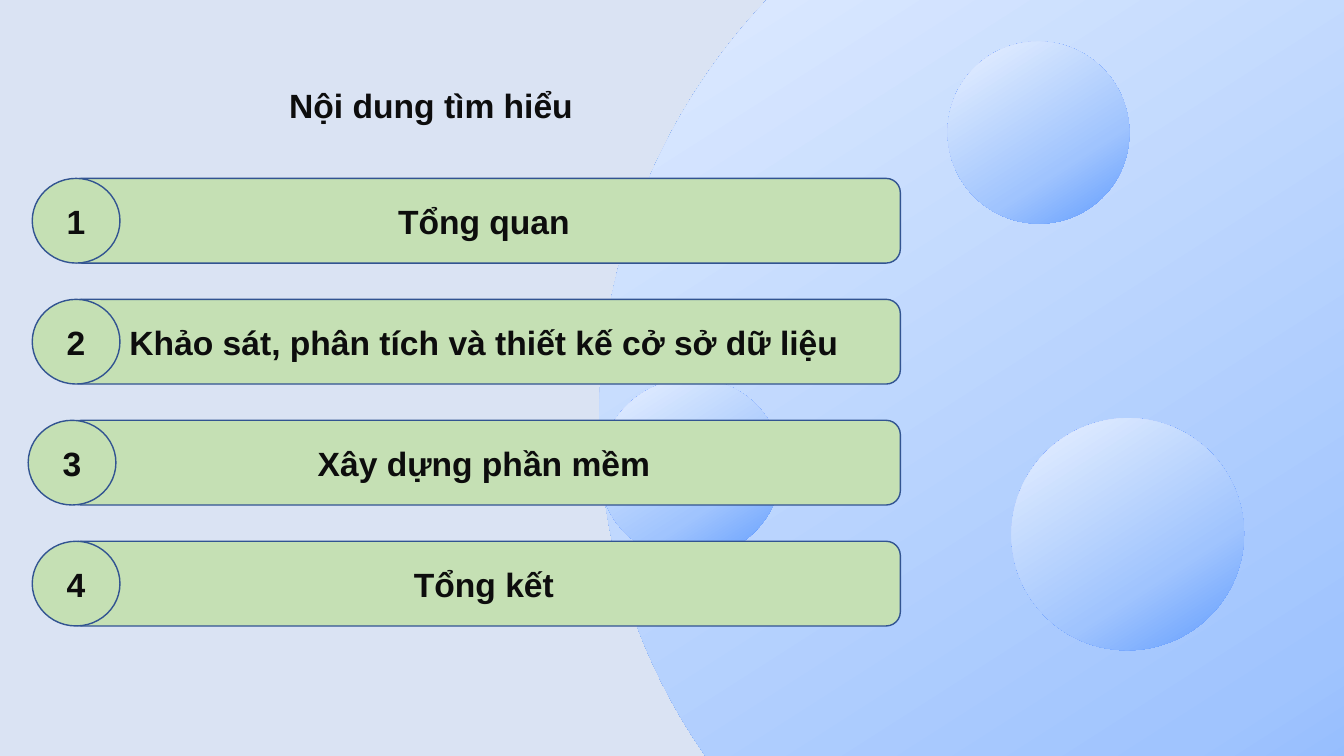
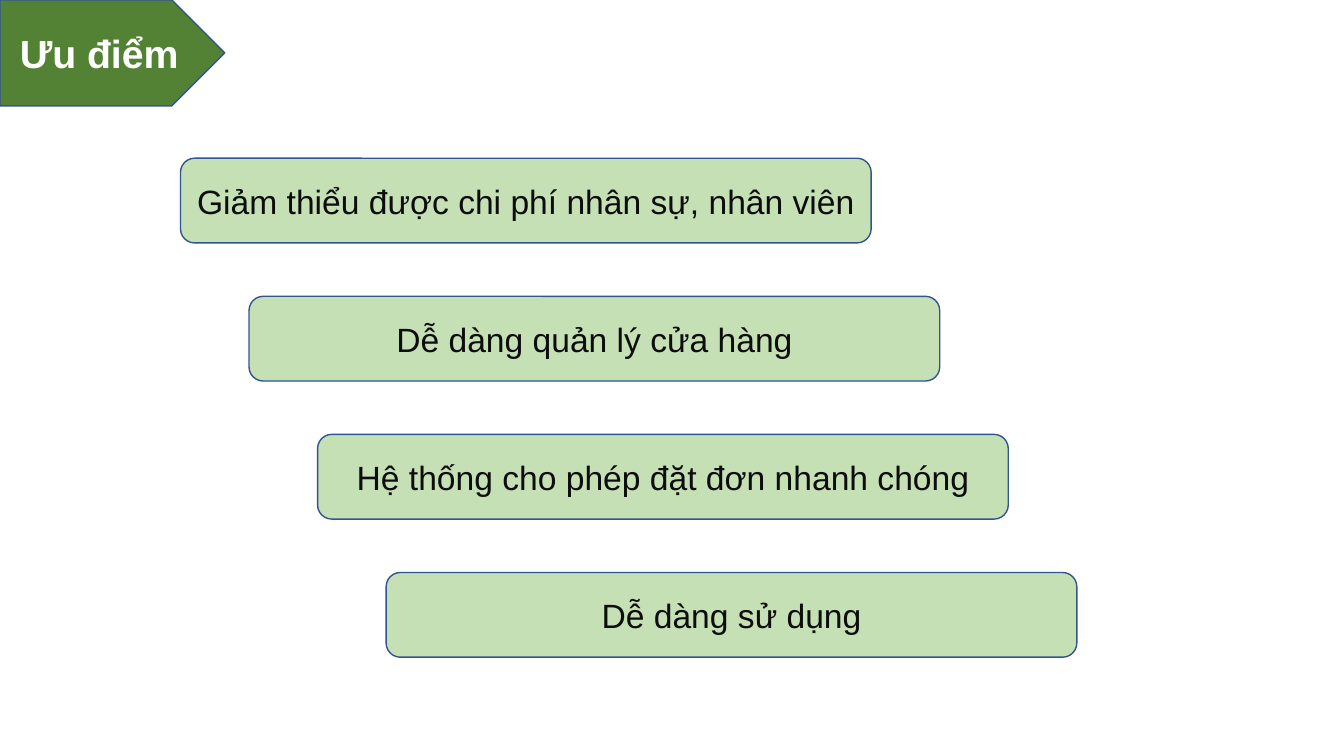
from copy import deepcopy

from pptx import Presentation
from pptx.dml.color import RGBColor
from pptx.enum.shapes import MSO_SHAPE
from pptx.enum.text import MSO_ANCHOR, PP_ALIGN
from pptx.oxml.ns import qn
from pptx.util import Inches, Pt

COLORS = {
    "pale_blue": "DAE3F3",
    "white": "FFFFFF",
    "ink": "0D0D0D",
    "light_green": "C5E0B4",
    "dark_green": "548235",
    "outline": "325491",
}
FONT = "Arial"
BUBBLE_STOPS = [(0.04, "438AFE"), (0.38, "A0C4FE"), (1, "FFFFFF")]
BUBBLE_ROTATION = 147.4
BAR_HEIGHT = 0.84

AGENDA_TITLE = "Nội dung tìm hiểu"
BUBBLES = [
    (5.91, -1.89, 12.09, 11.86),
    (9.4, 0.41, 1.8, 1.81),
    (5.94, 3.76, 1.82, 1.78),
    (10.03, 4.15, 2.31, 2.3),
]
AGENDA = [
    ("Tổng quan", 0.32),
    ("Khảo sát, phân tích và thiết kế cở sở dữ liệu", 0.32),
    ("Xây dựng phần mềm", 0.28),
    ("Tổng kết", 0.32),
]
ADVANTAGES_TITLE = "Ưu điểm"
ADVANTAGES = [
    "Giảm thiểu được chi phí nhân sự, nhân viên",
    "Dễ dàng quản lý cửa hàng",
    "Hệ thống cho phép đặt đơn nhanh chóng",
    "Dễ dàng sử dụng",
]


def rgb(value):
    return RGBColor.from_string(value)


def add_page(deck, background):
    page = deck.slides.add_slide(deck.slide_layouts[6])
    page.background.fill.solid()
    page.background.fill.fore_color.rgb = rgb(COLORS[background])
    return page


def write_text(shape, text, size=24, bold=True, color="ink", align=PP_ALIGN.CENTER,
               anchor=MSO_ANCHOR.MIDDLE):
    frame = shape.text_frame
    frame.word_wrap = True
    frame.vertical_anchor = anchor
    para = frame.paragraphs[0]
    para.alignment = align
    span = para.add_run()
    span.text = text
    span.font.name = FONT
    span.font.size = Pt(size)
    span.font.bold = bold
    span.font.color.rgb = rgb(COLORS[color])


def add_panel(page, kind, place, text, fill="light_green", **text_format):
    panel = page.shapes.add_shape(kind, *map(Inches, place))
    panel.shadow.inherit = False
    panel.fill.solid()
    panel.fill.fore_color.rgb = rgb(COLORS[fill])
    panel.line.color.rgb = rgb(COLORS["outline"])
    panel.line.width = Pt(1)
    write_text(panel, text, **text_format)


def add_bubble(page, place):
    bubble = page.shapes.add_shape(MSO_SHAPE.OVAL, *map(Inches, place))
    bubble.shadow.inherit = False
    bubble.rotation = BUBBLE_ROTATION
    bubble.line.fill.background()
    bubble.fill.gradient()
    bubble.fill.gradient_angle = 270
    stop_list = next(bubble.element.iter(qn("a:gsLst")))
    stop_list.append(deepcopy(stop_list[-1]))
    for stop, (position, color) in zip(bubble.fill.gradient_stops, BUBBLE_STOPS):
        stop.position = position
        stop.color.rgb = rgb(color)


def build_agenda(deck):
    page = add_page(deck, "pale_blue")
    for place in BUBBLES:
        add_bubble(page, place)
    title = page.shapes.add_textbox(Inches(2.77), Inches(0.79), Inches(3.17), Inches(0.5))
    write_text(title, AGENDA_TITLE, align=PP_ALIGN.LEFT, anchor=MSO_ANCHOR.TOP)
    for index, (topic, badge_left) in enumerate(AGENDA):
        top = 1.77 + 1.2 * index
        add_panel(page, MSO_SHAPE.ROUNDED_RECTANGLE, (0.67, top, 8.26, BAR_HEIGHT), topic)
        add_panel(page, MSO_SHAPE.OVAL, (badge_left, top, 0.87, BAR_HEIGHT), str(index + 1))


def build_advantages(deck):
    page = add_page(deck, "white")
    add_panel(page, MSO_SHAPE.PENTAGON, (0, 0, 2.23, 1.05), ADVANTAGES_TITLE,
              fill="dark_green", size=28, color="white")
    for index, advantage in enumerate(ADVANTAGES):
        place = (1.79 + 0.68 * index, 1.57 + 1.37 * index, 6.85, BAR_HEIGHT)
        add_panel(page, MSO_SHAPE.ROUNDED_RECTANGLE, place, advantage, bold=False)


def main():
    deck = Presentation()
    deck.slide_width = Inches(13.33)
    deck.slide_height = Inches(7.5)
    build_agenda(deck)
    build_advantages(deck)
    deck.save("out.pptx")


if __name__ == "__main__":
    main()
